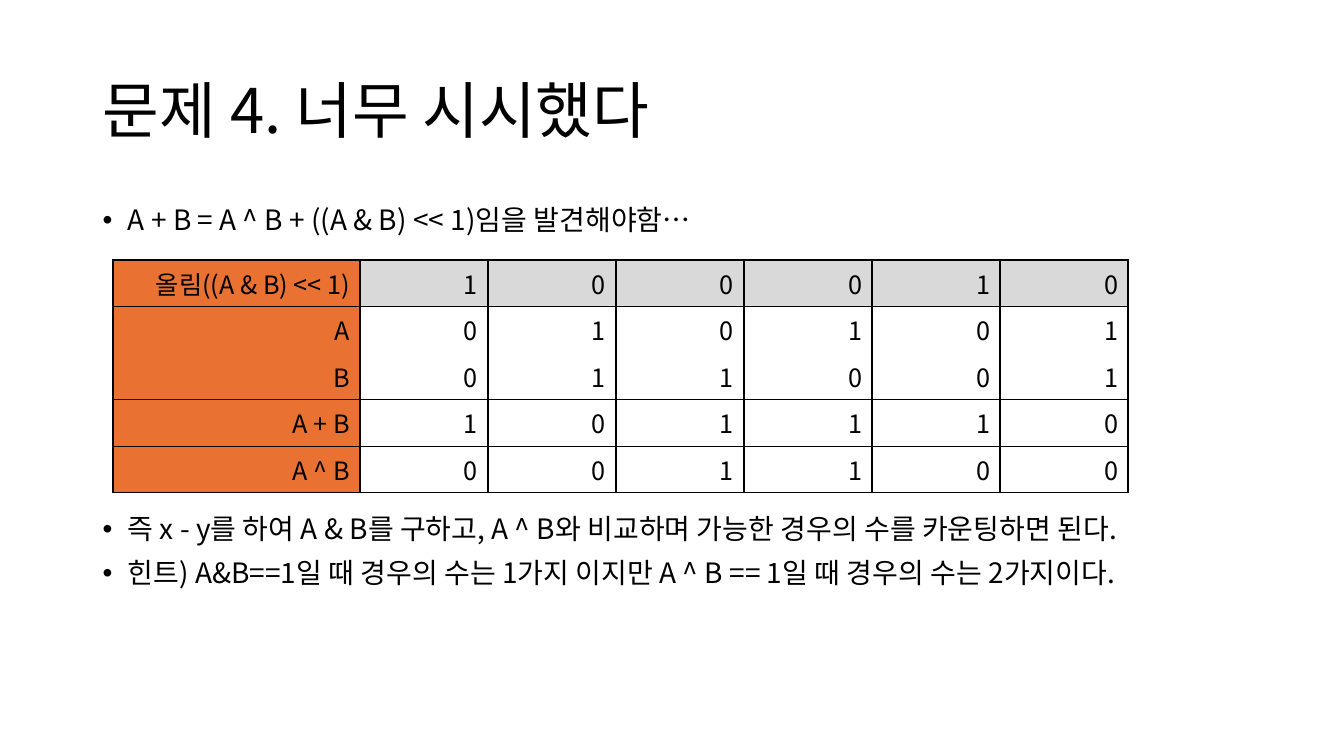
from dataclasses import dataclass

from lxml.etree import SubElement
from pptx import Presentation
from pptx.dml.color import RGBColor
from pptx.enum.text import MSO_ANCHOR, PP_ALIGN
from pptx.oxml.ns import qn
from pptx.util import Inches, Pt


@dataclass(frozen=True)
class Theme:
    font: str = "Noto Sans CJK KR"
    ink: str = "000000"
    label_fill: str = "E97132"
    carry_fill: str = "D9D9D9"
    title_size: int = 44
    body_size: int = 20
    table_size: int = 18


THEME = Theme()
TITLE = "문제 4. 너무 시시했다"
# Each bullet with the space before it in points; the second clears the table
BULLETS = [
    ("A + B = A ^ B + ((A & B) << 1)임을 발견해야함…", 0),
    ("즉 x - y를 하여 A & B를 구하고, A ^ B와 비교하며 가능한 경우의 수를 카운팅하면 된다.", 199),
    ("힌트) A&B==1일 때 경우의 수는 1가지 이지만 A ^ B == 1일 때 경우의 수는 2가지이다.", 10),
]
BIT_ROWS = [
    ("올림((A & B) << 1)", "100010"),
    ("A", "010101"),
    ("B", "011001"),
    ("A + B", "101110"),
    ("A ^ B", "001100"),
]
# Sides left without a line, so that the two operands read as one block
OPEN_SIDES = {"A": "B", "B": "T"}


def write(paragraph, text, size, align=PP_ALIGN.LEFT, line=None, before=0):
    paragraph.alignment = align
    paragraph.line_spacing = line
    paragraph.space_before = Pt(before)
    run = paragraph.add_run()
    run.text = text
    run.font.size = Pt(size)
    run.font.name = THEME.font
    run.font.color.rgb = RGBColor.from_string(THEME.ink)


def add_bullet(paragraph):
    properties = paragraph._p.get_or_add_pPr()
    properties.set("marL", str(Inches(0.25)))
    properties.set("indent", str(-Inches(0.25)))
    SubElement(properties, qn("a:buFont"), typeface="Arial")
    SubElement(properties, qn("a:buChar"), char="•")


def paint_cell(cell, fill, open_side):
    properties = cell._tc.get_or_add_tcPr()
    for side in "LRTB":
        border = SubElement(properties, qn(f"a:ln{side}"), w=str(Pt(1)))
        if side == open_side:
            SubElement(border, qn("a:noFill"))
        else:
            solid = SubElement(border, qn("a:solidFill"))
            SubElement(solid, qn("a:srgbClr"), val=THEME.ink)
    if fill:
        cell.fill.solid()
        cell.fill.fore_color.rgb = RGBColor.from_string(fill)
    else:
        cell.fill.background()


def place_title(slide, left, top, width, height):
    title = slide.shapes.title
    title.left, title.top, title.width, title.height = left, top, width, height
    title.text_frame.vertical_anchor = MSO_ANCHOR.MIDDLE
    write(title.text_frame.paragraphs[0], TITLE, THEME.title_size, line=0.9)


def place_bullets(slide, left, top, width, height):
    frame = slide.shapes.add_textbox(left, top, width, height).text_frame
    frame.word_wrap = True
    for index, (text, before) in enumerate(BULLETS):
        paragraph = frame.add_paragraph() if index else frame.paragraphs[0]
        write(paragraph, text, THEME.body_size, line=0.9, before=before)
        add_bullet(paragraph)


def place_bit_table(slide, left, top, width, height):
    bit_count = len(BIT_ROWS[0][1])
    table = slide.shapes.add_table(
        len(BIT_ROWS), bit_count + 1, left, top, width, height).table
    table.first_row = table.horz_banding = False
    label_width = Inches(2.45)
    for index, column in enumerate(table.columns):
        column.width = (width - label_width) // bit_count if index else label_width
    for row_index, (label, bits) in enumerate(BIT_ROWS):
        for column_index, text in enumerate([label, *bits]):
            cell = table.cell(row_index, column_index)
            write(cell.text_frame.paragraphs[0], text, THEME.table_size,
                  align=PP_ALIGN.RIGHT)
            bit_fill = None if row_index else THEME.carry_fill
            fill = bit_fill if column_index else THEME.label_fill
            paint_cell(cell, fill, OPEN_SIDES.get(label))


def main():
    deck = Presentation()
    deck.slide_width, deck.slide_height = Inches(13.33), Inches(7.5)
    slide = deck.slides.add_slide(deck.slide_layouts[5])
    margin, content_width = Inches(0.92), Inches(11.5)
    place_title(slide, margin, Inches(0.4), content_width, Inches(1.45))
    place_bullets(slide, margin, Inches(2), content_width, Inches(4.76))
    place_bit_table(slide, Inches(1.12), Inches(2.58), Inches(10.07), Inches(2.31))
    deck.save("out.pptx")


if __name__ == "__main__":
    main()
